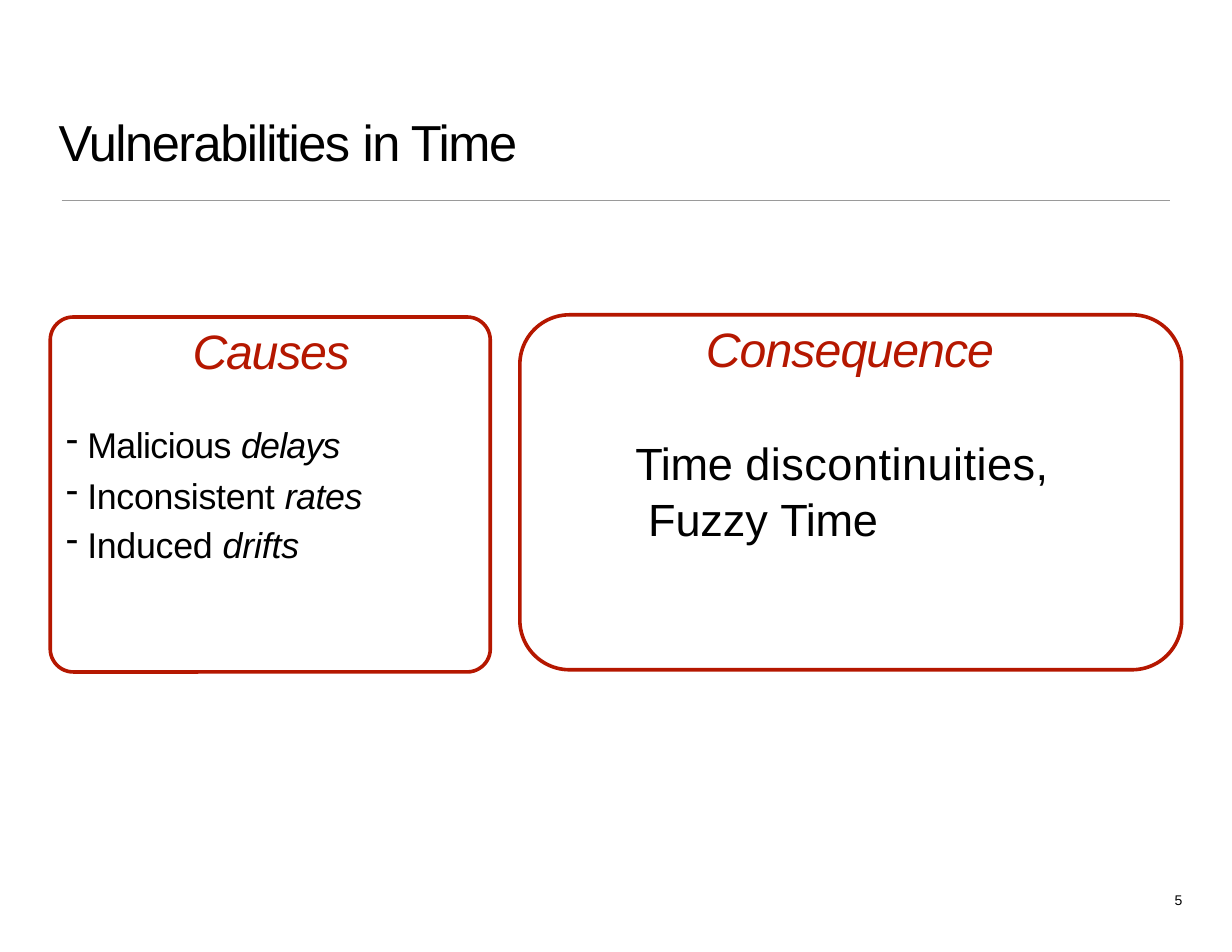
from dataclasses import dataclass

from lxml import etree
from pptx import Presentation, util as u
from pptx.dml.color import RGBColor
from pptx.enum import shapes
from pptx.oxml.ns import qn

COLORS = {"text": "000000", "accent": "B51700", "rule": "9A9A9A"}
FONT = "Arial"


@dataclass(frozen=True)
class Area:
    """A rectangle in centimetres."""
    left: float
    top: float
    width: float
    height: float

    def lengths(self) -> list[u.Cm]:
        return [u.Cm(v) for v in (self.left, self.top, self.width, self.height)]


@dataclass(frozen=True)
class Panel:
    area: Area
    rounding: float


@dataclass(frozen=True)
class Cause:
    lead: str
    emphasis: str
    space_before: float
    lead_tracking: float
    emphasis_tracking: float


PANELS = [
    Panel(Area(1.14, 7.19, 9.98, 8.05), 0.065),
    Panel(Area(11.79, 7.14, 15.01, 8.05), 0.14),
]
CAUSES = [
    Cause("Malicious ", "delays", 28.1, -0.4, -0.5),
    Cause("Inconsistent ", "rates", 4.9, -0.2, -0.3),
    Cause("Induced ", "drifts", 4.1, -0.2, -0.1),
]


def add_frame(slide, area: Area, inset_top: float = 0.03):
    """Add an empty text box and return its text frame."""
    frame = slide.shapes.add_textbox(*area.lengths()).text_frame
    frame.word_wrap = True
    frame.margin_left = frame.margin_right = frame.margin_bottom = 0
    frame.margin_top = u.Cm(inset_top)
    return frame


def set_indent(paragraph, left: float, first: float = 0) -> None:
    properties = paragraph._p.get_or_add_pPr()
    properties.set("marL", str(u.Cm(left)))
    properties.set("indent", str(u.Cm(first)))


def add_dash(paragraph) -> None:
    properties = paragraph._p.get_or_add_pPr()
    etree.SubElement(properties, qn("a:buChar"), char="-")


def write(paragraph, words: str, *, size: float, color: str = "text",
          italic: bool = False, tracking: float = 0) -> None:
    """Append a run; tracking is letter spacing in points."""
    run = paragraph.add_run()
    run.text = words
    run.font.name = FONT
    run.font.size = u.Pt(size)
    run.font.italic = italic
    run.font.color.rgb = RGBColor.from_string(COLORS[color])
    run._r.get_or_add_rPr().set("spc", str(round(tracking * 100)))


def start_paragraph(paragraph, space_before: float, left: float, first: float = 0):
    paragraph.space_before = u.Pt(space_before)
    set_indent(paragraph, left, first)
    return paragraph


def draw_panel(slide, panel: Panel) -> None:
    outline = slide.shapes.add_shape(
        shapes.MSO_SHAPE.ROUNDED_RECTANGLE, *panel.area.lengths())
    outline.adjustments[0] = panel.rounding
    outline.shadow.inherit = False
    outline.fill.background()
    outline.line.color.rgb = RGBColor.from_string(COLORS["accent"])
    outline.line.width = u.Pt(2.32)


def draw_title(slide) -> None:
    rule = slide.shapes.add_connector(
        shapes.MSO_CONNECTOR.STRAIGHT, u.Cm(1.4), u.Cm(4.55), u.Cm(26.54), u.Cm(4.55))
    rule.line.color.rgb = RGBColor.from_string(COLORS["rule"])
    rule.line.width = u.Pt(0.77)
    etree.SubElement(rule._element.spPr, qn("a:effectLst"))

    frame = add_frame(slide, Area(1.3, 2.49, 10.8, 1.45))
    title = start_paragraph(frame.paragraphs[0], 0.9, 0.03)
    write(title, "Vulnerabilities ", size=32.5, tracking=-1)
    write(title, "in Time", size=32.5, tracking=-0.9)


def draw_causes(slide) -> None:
    frame = add_frame(slide, Area(1.45, 7.26, 7.2, 5.61))
    heading = start_paragraph(frame.paragraphs[0], 0.9, 2.92)
    write(heading, "Causes", size=31, color="accent", italic=True, tracking=-0.8)
    for cause in CAUSES:
        item = start_paragraph(frame.add_paragraph(), cause.space_before, 0.53, -0.48)
        add_dash(item)
        write(item, cause.lead, size=23, tracking=cause.lead_tracking)
        write(item, cause.emphasis, size=23, italic=True,
              tracking=cause.emphasis_tracking)


def draw_consequence(slide) -> None:
    frame = add_frame(slide, Area(15.98, 7.21, 6.8, 1.37))
    heading = start_paragraph(frame.paragraphs[0], 0.9, 0.03)
    write(heading, "Consequence", size=31, color="accent", italic=True, tracking=-0.6)

    frame = add_frame(slide, Area(14.38, 9.83, 9.7, 2.57))
    discontinuities = start_paragraph(frame.paragraphs[0], 0.6, 0.03)
    write(discontinuities, "Time ", size=29, tracking=-0.2)
    write(discontinuities, "discontinuities,", size=29, tracking=0.3)
    fuzzy = start_paragraph(frame.add_paragraph(), 0, 0.32)
    write(fuzzy, "Fuzzy ", size=29, tracking=-0.1)
    write(fuzzy, "Time", size=29, tracking=-0.2)
    for line in frame.paragraphs:
        line.line_spacing = 1.02


def draw_page_number(slide) -> None:
    frame = add_frame(slide, Area(26.39, 20.12, 0.74, 0.51), inset_top=0.1)
    number = start_paragraph(frame.paragraphs[0], 2.8, 0.25)
    write(number, "5", size=9, tracking=0.1)


def main() -> None:
    deck = Presentation()
    deck.slide_width, deck.slide_height = u.Cm(27.94), u.Cm(21.59)
    slide = deck.slides.add_slide(deck.slide_layouts[6])
    draw_title(slide)
    for panel in PANELS:
        draw_panel(slide, panel)
    draw_causes(slide)
    draw_consequence(slide)
    draw_page_number(slide)
    deck.save("out.pptx")


if __name__ == "__main__":
    main()
